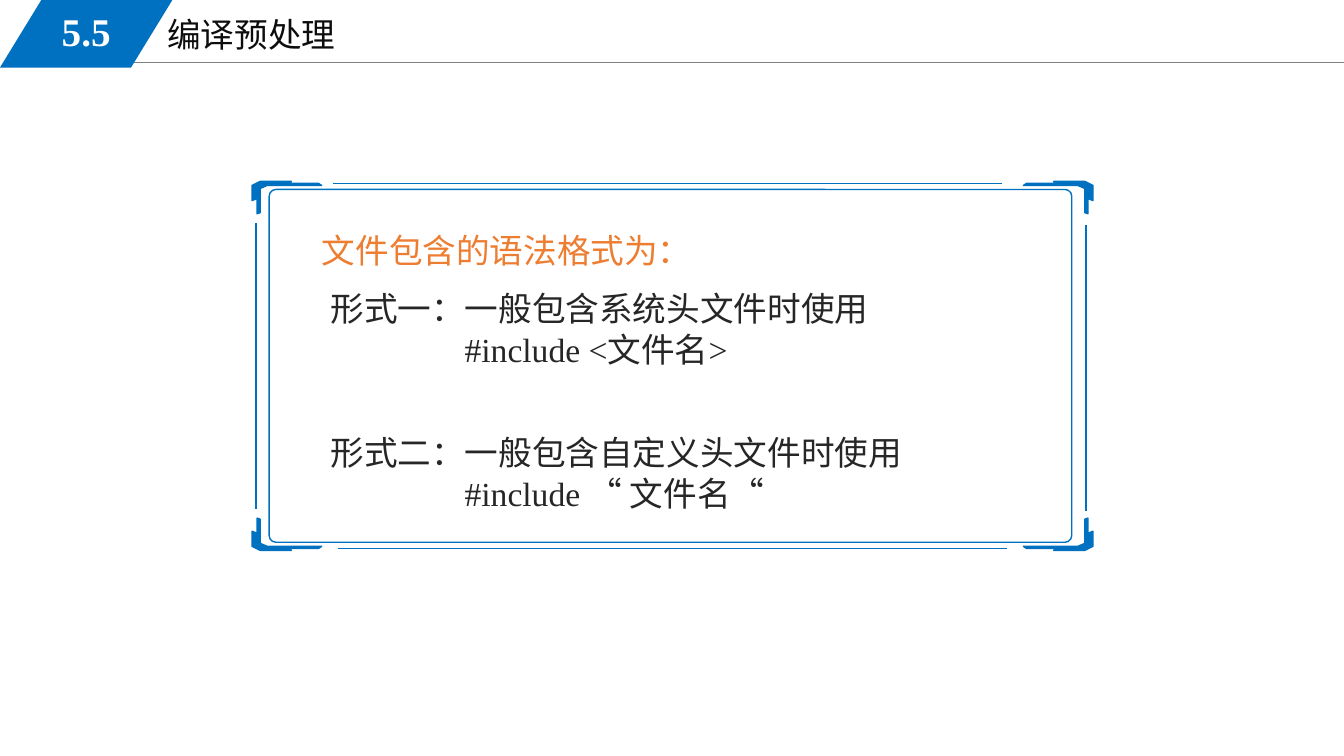
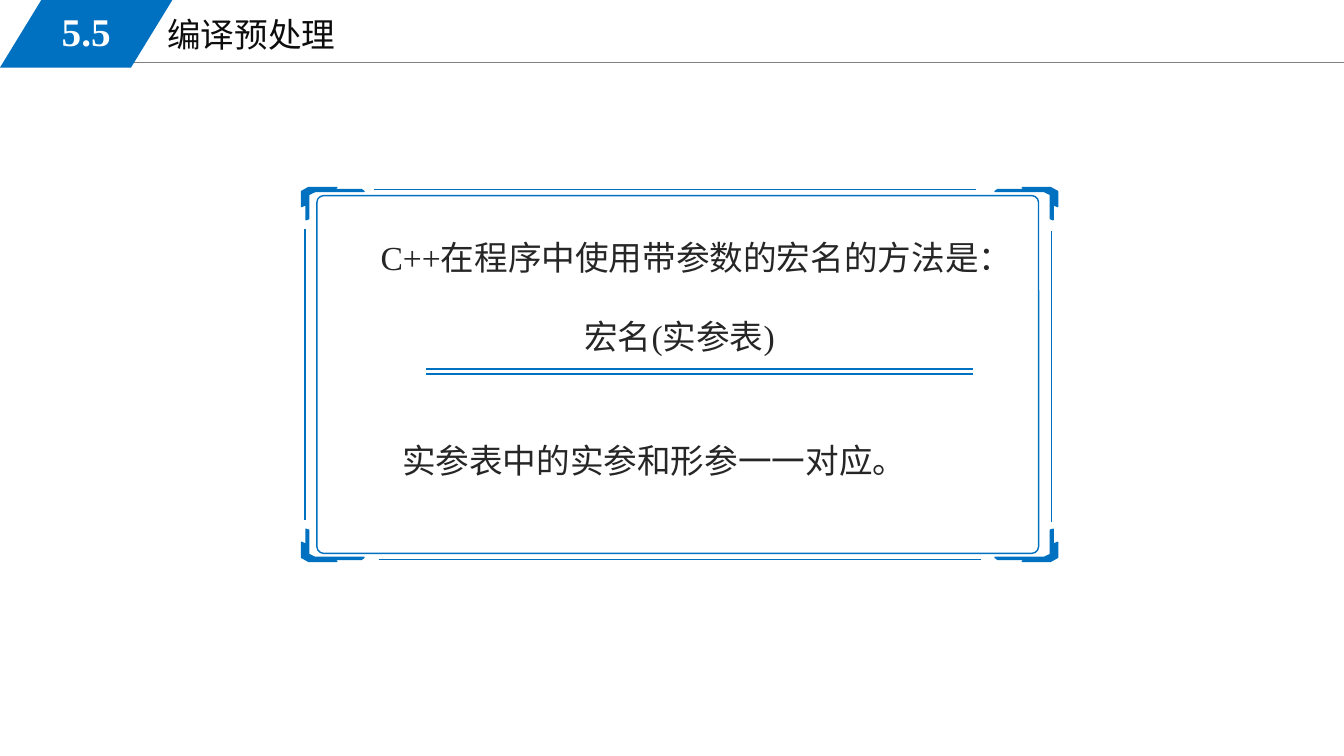
from lxml.etree import SubElement
from pptx import Presentation
from pptx.dml.color import RGBColor
from pptx.enum.lang import MSO_LANGUAGE_ID
from pptx.enum.shapes import MSO_CONNECTOR, MSO_SHAPE
from pptx.enum.text import MSO_ANCHOR, MSO_AUTO_SIZE, PP_ALIGN
from pptx.oxml.ns import qn
from pptx.util import Inches, Pt

BLUE = "0070C0"
ORANGE = "ED7D31"
GRAY = "808080"
INK = "262626"
TITLE_INK = "0D0D0D"
WHITE = "FFFFFF"
FONT = "Times New Roman"

CORNER = [
    (0.08, 0), (0.39, 0), (0.35, 0.02), (0.66, 0.02), (0.69, 0.04),
    (0.15, 0.04), (0.08, 0.07), (0.08, 0.31), (0.05, 0.32), (0.05, 0.17),
    (0, 0.19), (0, 0.04),
]


def color(value):
    return RGBColor.from_string(value)


def write(shape, *lines, size=24, ink=INK, bold=False, align=PP_ALIGN.LEFT,
          anchor=MSO_ANCHOR.TOP, wrap=True, gap=0, indent=0):
    frame = shape.text_frame
    frame.auto_size = MSO_AUTO_SIZE.NONE
    frame.word_wrap = wrap
    frame.vertical_anchor = anchor
    for index, line in enumerate(lines):
        paragraph = frame.add_paragraph() if index else frame.paragraphs[0]
        paragraph.alignment = align
        if index:
            paragraph.space_before = Pt(gap)
            paragraph._p.get_or_add_pPr().set("marL", str(Inches(indent)))
        run = paragraph.add_run()
        run.text = line
        run.font.name = FONT
        run.font.size = Pt(size)
        run.font.bold = bold
        run.font.color.rgb = color(ink)
        run.font.language_id = MSO_LANGUAGE_ID.SIMPLIFIED_CHINESE


class Deck:
    def __init__(self):
        self.presentation = Presentation()
        self.presentation.slide_width = Inches(13.33)
        self.presentation.slide_height = Inches(7.5)
        self.slide = None

    def add_slide(self, number, title):
        layout = self.presentation.slide_layouts[5]
        self.slide = self.presentation.slides.add_slide(layout)
        self.line(1.13, 0.62, 13.33, 0.62, GRAY, 0.75)
        heading = self.slide.shapes.title
        heading.left, heading.top = Inches(1.56), Inches(0.09)
        heading.width, heading.height = Inches(5.67), Inches(0.51)
        write(heading, title, ink=TITLE_INK)
        badge = self.shape(MSO_SHAPE.PARALLELOGRAM, 0, 0, 1.71, 0.67, 0.612, fill=BLUE)
        frame = badge.text_frame
        frame.margin_left = frame.margin_right = frame.margin_top = 0
        frame.margin_bottom = Inches(0.05)
        write(badge, number, size=28, ink=WHITE, bold=True, wrap=False,
              align=PP_ALIGN.CENTER, anchor=MSO_ANCHOR.MIDDLE)

    def shape(self, kind, left, top, width, height, adjustment, fill=None, outline=None):
        shape = self.slide.shapes.add_shape(
            kind, Inches(left), Inches(top), Inches(width), Inches(height))
        shape.adjustments[0] = adjustment
        self.paint(shape, fill, outline)
        return shape

    def paint(self, shape, fill, outline):
        shape.shadow.inherit = False
        if fill:
            shape.fill.solid()
            shape.fill.fore_color.rgb = color(fill)
        else:
            shape.fill.background()
        if outline:
            shape.line.color.rgb = color(outline)
            shape.line.width = Pt(1)
        else:
            shape.line.fill.background()

    def line(self, x1, y1, x2, y2, ink=BLUE, width=1):
        connector = self.slide.shapes.add_connector(
            MSO_CONNECTOR.STRAIGHT, Inches(x1), Inches(y1), Inches(x2), Inches(y2))
        connector.line.color.rgb = color(ink)
        connector.line.width = Pt(width)
        SubElement(connector._element.spPr, qn("a:effectLst"))

    def text(self, left, top, width, height, *lines, **style):
        box = self.slide.shapes.add_textbox(
            Inches(left), Inches(top), Inches(width), Inches(height))
        write(box, *lines, **style)

    def corner(self, x, y, x_step, y_step):
        points = [(Inches(x + x_step * dx), Inches(y + y_step * dy)) for dx, dy in CORNER]
        builder = self.slide.shapes.build_freeform(*points[0])
        builder.add_line_segments(points[1:], close=True)
        self.paint(builder.convert_to_shape(), BLUE, BLUE)

    def frame(self, left, top, right, bottom, stretch=1):
        self.shape(MSO_SHAPE.ROUNDED_RECTANGLE, left + 0.17 * stretch, top + 0.08,
                   right - left - 0.38 * stretch, bottom - top - 0.16, 0.019,
                   outline=BLUE)
        for x, x_step in ((left, stretch), (right, -stretch)):
            for y, y_step in ((top, 1), (bottom, -1)):
                self.corner(x, y, x_step, y_step)
        for y, start, end in ((top + 0.02, 0.8, 0.9), (bottom - 0.02, 0.85, 0.85)):
            self.line(left + start * stretch, y, right - end * stretch, y)
        for x, shift in ((left + 0.04 * stretch, 0), (right - 0.07 * stretch, 0.02)):
            self.line(x, top + 0.41 + shift, x, bottom - 0.41 + shift)


def main():
    deck = Deck()

    deck.add_slide("5.5", "编译预处理")
    deck.frame(2.5, 1.8, 10.84, 5.46)
    deck.text(2.18, 2.23, 5.69, 0.5, "文件包含的语法格式为：",
              ink=ORANGE, align=PP_ALIGN.CENTER)
    deck.text(3.18, 2.81, 6.24, 1.14, "形式一：一般包含系统头文件时使用",
              "#include <文件名>", indent=1.33)
    deck.text(3.18, 4.24, 6.1, 0.91, "形式二：一般包含自定义头文件时使用",
              "#include “ 文件名“", indent=1.33)

    deck.add_slide("5.5", "编译预处理")
    deck.frame(2.99, 1.86, 10.49, 5.57, stretch=0.9)
    deck.text(3.6, 2.3, 6.28, 1.72, "C++在程序中使用带参数的宏名的方法是：",
              "宏名(实参表)", align=PP_ALIGN.CENTER, gap=28)
    for y in (3.66, 3.71):
        deck.line(4.23, y, 9.65, y)
    deck.text(3.89, 4.32, 6.1, 0.5, "实参表中的实参和形参一一对应。")

    deck.presentation.save("out.pptx")


if __name__ == "__main__":
    main()
